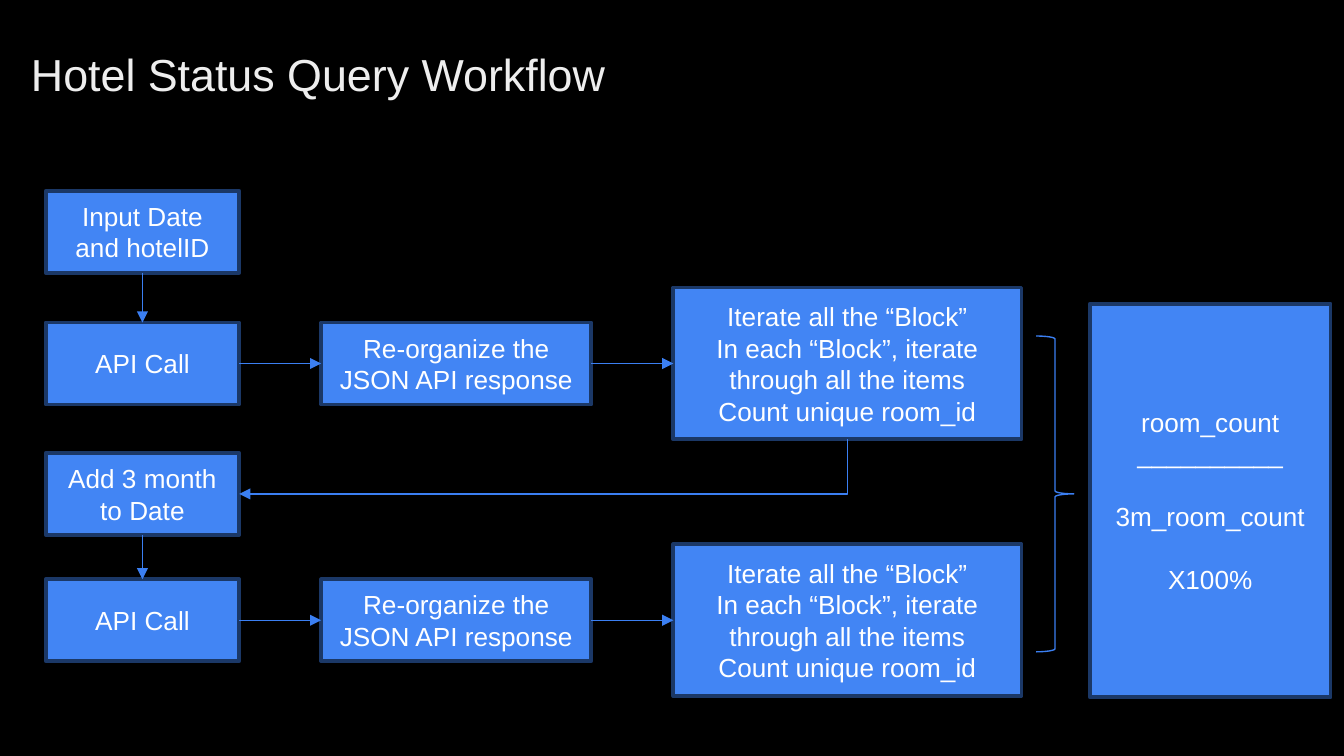
from pptx import Presentation
from pptx.dml.color import RGBColor
from pptx.enum.shapes import MSO_CONNECTOR, MSO_SHAPE
from pptx.enum.text import MSO_ANCHOR, MSO_AUTO_SIZE, PP_ALIGN
from pptx.oxml.ns import qn
from pptx.util import Inches, Pt
from lxml import etree

BLACK = RGBColor(0x00, 0x00, 0x00)
WHITE = RGBColor(0xFF, 0xFF, 0xFF)
PALE = RGBColor(0xEE, 0xEE, 0xEE)
BLUE = RGBColor(0x42, 0x85, 0xF4)
NAVY = RGBColor(0x1B, 0x38, 0x67)
LINK = RGBColor(0x3B, 0x7F, 0xF2)

FONT = "Arial"
RECT, BRACE = MSO_SHAPE.RECTANGLE, MSO_SHAPE.RIGHT_BRACE
STRAIGHT, ELBOW = MSO_CONNECTOR.STRAIGHT, MSO_CONNECTOR.ELBOW
TOP, MIDDLE = MSO_ANCHOR.TOP, MSO_ANCHOR.MIDDLE
LEFT, CENTER = PP_ALIGN.LEFT, PP_ALIGN.CENTER
NO_FIT = MSO_AUTO_SIZE.NONE
ABOVE, BEFORE, BELOW, AFTER = range(4)

COUNT = [
    "Iterate all the “Block”",
    "In each “Block”, iterate through all the items",
    "Count unique room_id",
]
RATIO = ["room_count", "__________", "3m_room_count", "X100%"]
STEP_W, STEP_H = 1.44, 0.61


def style(para, size, color, align):
    para.alignment = align
    for run in para.runs:
        run.font.name = FONT
        run.font.size = Pt(size)
        run.font.color.rgb = color


def add_title(slide, x, y, w, h):
    title = slide.shapes.title
    title.left, title.top = Inches(x), Inches(y)
    title.width, title.height = Inches(w), Inches(h)
    frame = title.text_frame
    frame.text = "Hotel Status Query Workflow"
    frame.auto_size = NO_FIT
    frame.vertical_anchor = TOP
    frame.margin_left = Inches(0.28)
    frame.margin_top = frame.margin_bottom = Inches(0.1)
    para = frame.paragraphs[0]
    para.line_spacing = 1.15
    style(para, 24, PALE, LEFT)


def add_box(slide, lines, x, y, w, h):
    box = slide.shapes.add_shape(RECT, Inches(x), Inches(y), Inches(w), Inches(h))
    box.shadow.inherit = False
    box.fill.solid()
    box.fill.fore_color.rgb = BLUE
    box.line.color.rgb = NAVY
    box.line.width = Pt(2)
    frame = box.text_frame
    frame.word_wrap = True
    frame.vertical_anchor = MIDDLE
    frame.text = "\n".join(lines)
    for para in frame.paragraphs:
        style(para, 14, WHITE, CENTER)
    return box


def draw_arrow(link):
    link.line.color.rgb = LINK
    link.line.width = Pt(0.75)
    props = link.element.spPr
    tail = etree.SubElement(props.find(qn("a:ln")), qn("a:tailEnd"))
    tail.set("type", "triangle")
    etree.SubElement(props, qn("a:effectLst"))


def join(slide, start, out, end, into):
    link = slide.shapes.add_connector(STRAIGHT, 0, 0, 0, 0)
    link.begin_connect(start, out)
    link.end_connect(end, into)
    draw_arrow(link)


def add_row(slide, first, x, y, gap):
    start = add_box(slide, [first], x, y, STEP_W, STEP_H)
    call_y = y + STEP_H + gap
    call = add_box(slide, ["API Call"], x, call_y, STEP_W, STEP_H)
    reply = add_box(slide, ["Re-organize the JSON API response"],
                    x + 2.05, call_y, 2.01, STEP_H)
    count = add_box(slide, COUNT, x + 4.67, call_y - 0.26, 2.59, 1.13)
    join(slide, start, BELOW, call, ABOVE)
    join(slide, call, AFTER, reply, BEFORE)
    join(slide, reply, AFTER, count, BEFORE)
    return start, count


def add_return(slide, count, start):
    x1, y1 = count.left + count.width // 2, count.top + count.height
    x2, y2 = start.left + start.width, start.top + start.height // 2
    mid_x, mid_y = (x1 + x2) // 2, (y1 + y2) // 2
    half_w, half_h = (y2 - y1) // 2, (x1 - x2) // 2
    link = slide.shapes.add_connector(ELBOW, mid_x - half_w, mid_y - half_h,
                                      mid_x + half_w, mid_y + half_h)
    props = link.element.spPr
    props.find(qn("a:xfrm")).set("rot", "5400000")
    props.find(qn("a:prstGeom")).set("prst", "bentConnector2")
    draw_arrow(link)


def add_result(slide, x, y, w, h):
    brace = slide.shapes.add_shape(BRACE, Inches(x), Inches(y + 0.24),
                                   Inches(0.28), Inches(2.35))
    brace.shadow.inherit = False
    brace.fill.background()
    brace.line.color.rgb = LINK
    brace.line.width = Pt(0.75)
    brace.adjustments[0] = 0.08
    brace.adjustments[1] = 0.5
    ratio = add_box(slide, RATIO, x + 0.4, y, w - 0.4, h)
    for para in ratio.text_frame.paragraphs[2:]:
        para.space_before = Pt(16.8)


def main():
    deck = Presentation()
    deck.slide_width = Inches(10)
    deck.slide_height = deck.slide_width * 9 // 16
    slide = deck.slides.add_slide(deck.slide_layouts[5])
    slide.background.fill.solid()
    slide.background.fill.fore_color.rgb = BLACK
    add_title(slide, -0.05, 0.19, 4.99, 0.61)
    _, count = add_row(slide, "Input Date and hotelID", 0.34, 1.42, 0.37)
    start, _ = add_row(slide, "Add 3 month to Date", 0.34, 3.37, 0.33)
    add_return(slide, count, start)
    add_result(slide, 7.71, 2.26, 2.19, 2.93)
    deck.save("out.pptx")


if __name__ == "__main__":
    main()
